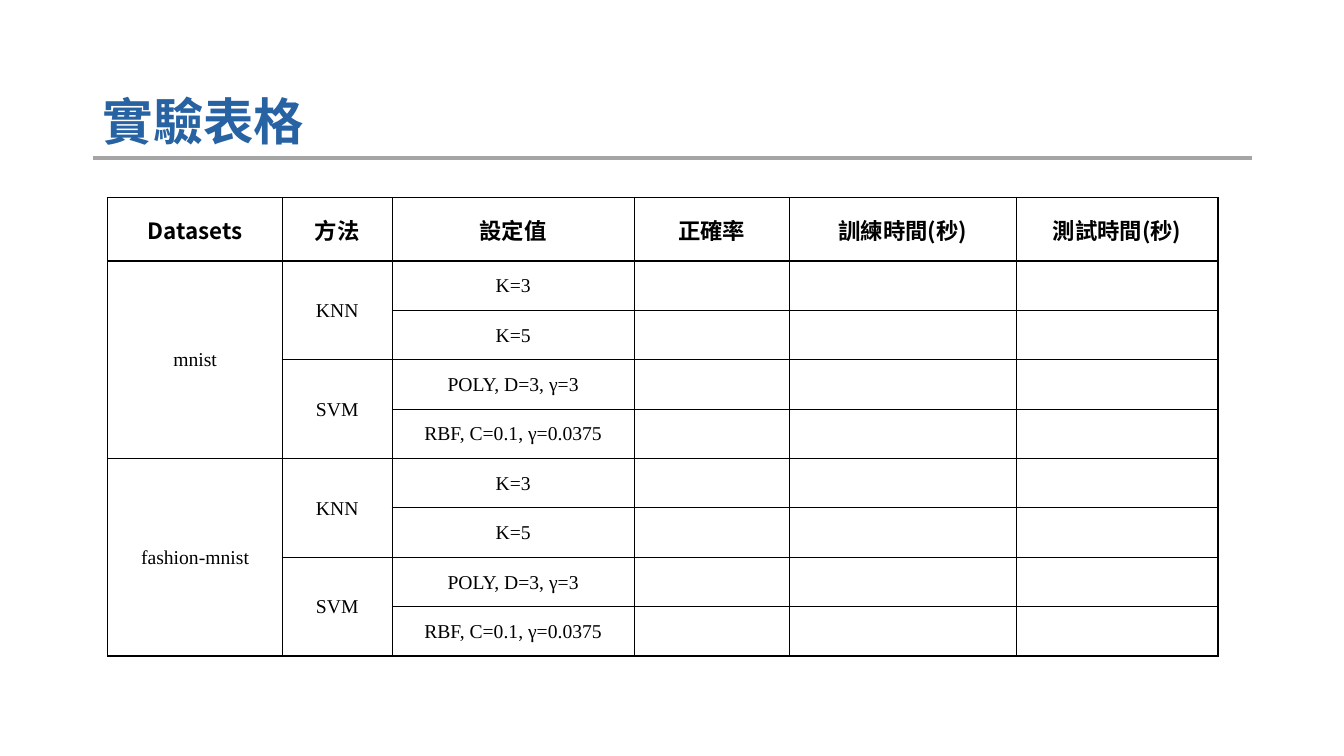
from lxml.etree import SubElement
from pptx import Presentation
from pptx.dml.color import RGBColor
from pptx.enum.shapes import MSO_CONNECTOR
from pptx.enum.text import MSO_ANCHOR, PP_ALIGN
from pptx.oxml import parse_xml
from pptx.oxml.ns import nsdecls, qn
from pptx.util import Inches, Pt

CJK_FONT = "Noto Sans CJK TC"


def color(value):
    return RGBColor.from_string(value)


def add_run(paragraph, text, size, font, fill, bold):
    run = paragraph.add_run()
    run.text = text
    run.font.size = Pt(size)
    run.font.bold = bold
    run.font.color.rgb = color(fill)
    run.font.name = font
    SubElement(run.font._element, qn("a:ea")).set("typeface", CJK_FONT)


presentation = Presentation()
presentation.slide_width = Inches(13.33)
presentation.slide_height = Inches(7.5)
slide = presentation.slides.add_slide(presentation.slide_layouts[6])

# Rule under the title
rule = slide.shapes.add_connector(
    MSO_CONNECTOR.STRAIGHT, Inches(0.92), Inches(1.57), Inches(12.42), Inches(1.57))
rule.line.color.rgb = color("A5A5A5")
rule.line.width = Pt(2.5)
SubElement(rule._element.spPr, qn("a:effectLst"))

# Title
title = slide.shapes.add_textbox(Inches(0.92), Inches(0.4), Inches(11.5), Inches(1.15))
title.text_frame.word_wrap = True
title.text_frame.vertical_anchor = MSO_ANCHOR.BOTTOM
paragraph = title.text_frame.paragraphs[0]
paragraph.line_spacing = 0.9
add_run(paragraph, "實驗表格", 36, "Arial", "2762A3", True)

# Table contents: four settings per dataset, two per method
headers = ["Datasets", "方法", "設定值", "正確率", "訓練時間(秒)", "測試時間(秒)"]
datasets = ["mnist", "fashion-mnist"]
methods = {
    "KNN": ["K=3", "K=5"],
    "SVM": ["POLY, D=3, γ=3", "RBF, C=0.1, γ=0.0375"],
}
column_widths = [1.73, 1.09, 2.4, 1.54, 2.25, 2]
row_heights = [0.63] + [0.49] * 8

table = slide.shapes.add_table(
    len(row_heights), len(column_widths),
    Inches(1.07), Inches(1.96), Inches(11.01), Inches(4.52)).table
table.first_row = False
table.horz_banding = False
for column, width in zip(table.columns, column_widths):
    column.width = Inches(width)
for row, height in zip(table.rows, row_heights):
    row.height = Inches(height)

# Plain cells with thin black borders
for cell in table.iter_cells():
    cell.fill.background()
    cell.vertical_anchor = MSO_ANCHOR.MIDDLE
    cell.margin_left = cell.margin_right = cell.margin_top = Inches(0.01)
    cell.margin_bottom = 0
    cell_properties = cell._tc.get_or_add_tcPr()
    for index, side in enumerate(["lnL", "lnR", "lnT", "lnB"]):
        cell_properties.insert(index, parse_xml(
            f'<a:{side} {nsdecls("a")} w="12700"><a:solidFill>'
            f'<a:srgbClr val="000000"/></a:solidFill></a:{side}>'))

# Each entry: row, column, text
entries = []
row_index = 1
for dataset in datasets:
    entries.append((row_index, 0, dataset))
    table.cell(row_index, 0).merge(table.cell(row_index + 3, 0))
    for method, settings in methods.items():
        entries.append((row_index, 1, method))
        table.cell(row_index, 1).merge(table.cell(row_index + 1, 1))
        for setting in settings:
            entries.append((row_index, 2, setting))
            row_index += 1

# Header and body text
for column_index, header in enumerate(headers):
    paragraph = table.cell(0, column_index).text_frame.paragraphs[0]
    paragraph.alignment = PP_ALIGN.CENTER
    font = "Calibri" if column_index in (1, 2, 3) else CJK_FONT
    add_run(paragraph, header, 16, font, "000000", True)
for row_index, column_index, text in entries:
    paragraph = table.cell(row_index, column_index).text_frame.paragraphs[0]
    paragraph.alignment = PP_ALIGN.CENTER
    add_run(paragraph, text, 14, "Times New Roman", "000000", False)

presentation.save("out.pptx")
